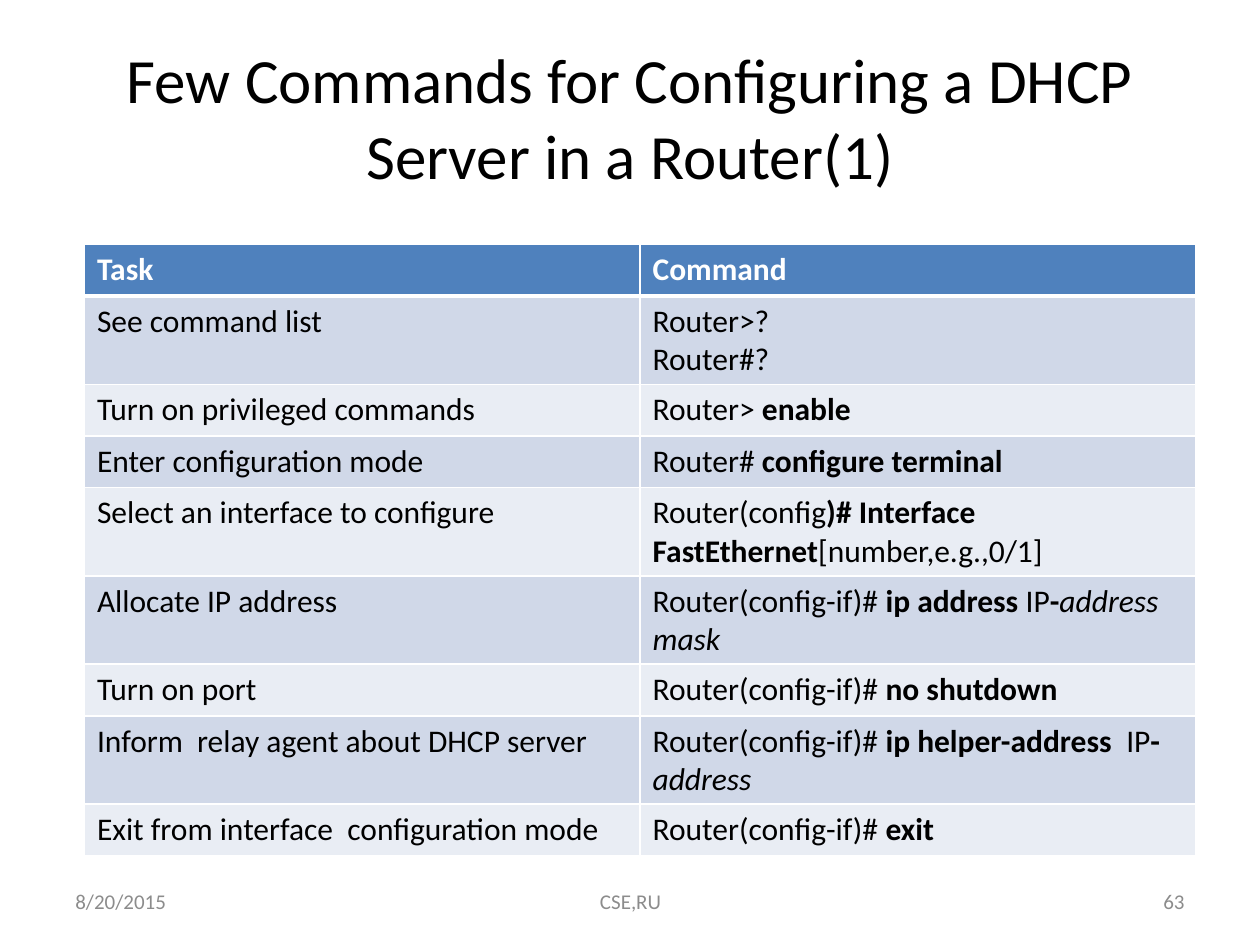
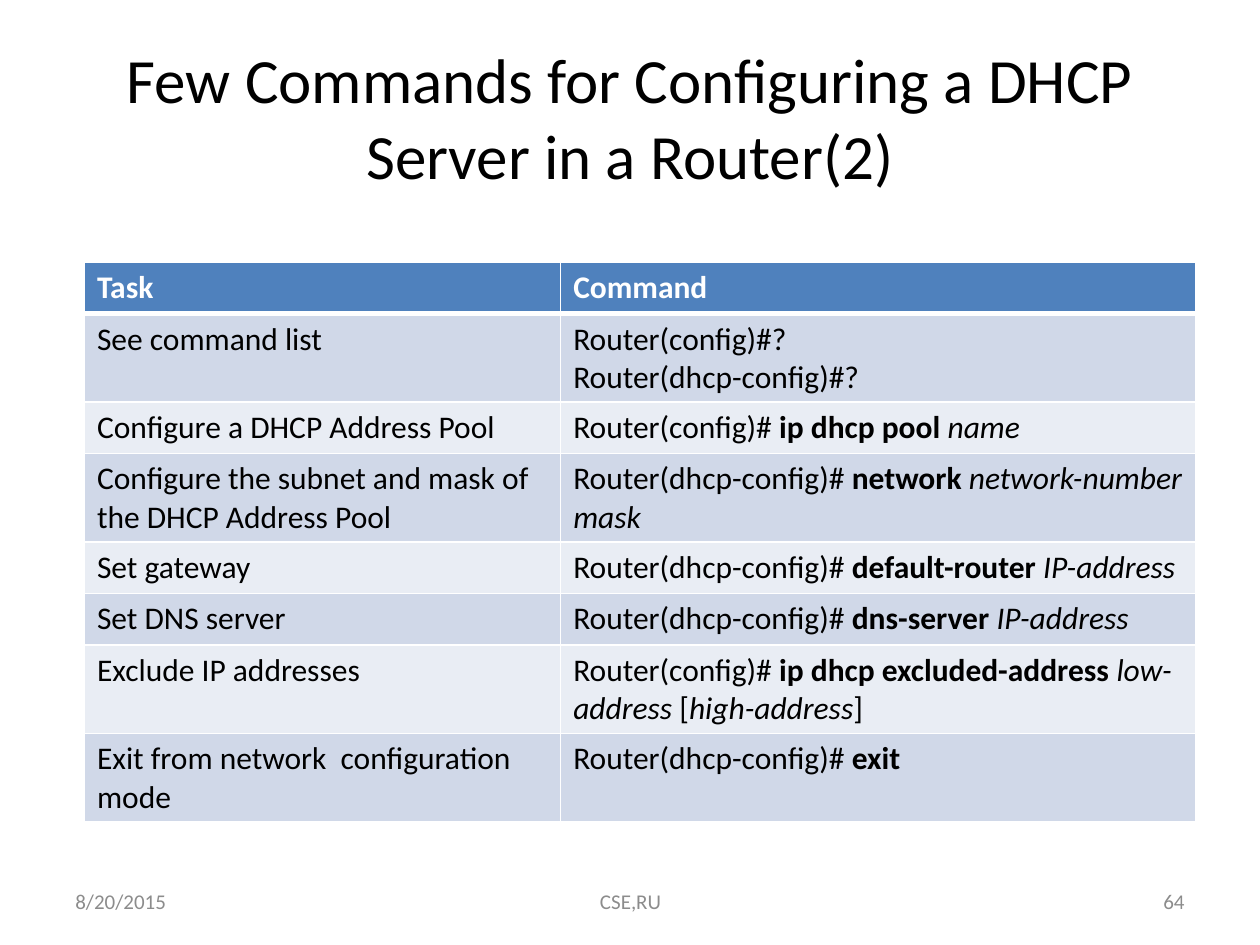
from dataclasses import dataclass

from lxml.etree import SubElement
from pptx import Presentation
from pptx.dml.color import RGBColor as Rgb
from pptx.enum.text import MSO_ANCHOR as Anchor, PP_ALIGN as Align
from pptx.oxml.ns import qn
from pptx.util import Inches, Pt


@dataclass(frozen=True)
class Theme:
    font: str = "Calibri"
    ink: str = "000000"
    muted: str = "8C8C8C"
    white: str = "FFFFFF"
    header: str = "4F81BD"
    bands: tuple = ("D0D8E8", "E9EDF4")
    title_size: int = 36
    table_size: int = 18
    footer_size: int = 12
    thin: int = 1
    thick: int = 3


THEME = Theme()
TITLE = "Few Commands for Configuring a DHCP Server in a Router({})"
HEADINGS = ("Task", "Command")
DATE, OWNER = "8/20/2015", "CSE,RU"
FIRST_PAGE_NUMBER = 63
TABLE_LEFT, ROW_HEIGHT = 0.67, 0.41

# Prompts that open the commands
CONFIG = "Router(config)# "
INTERFACE = "Router(config-if)# "
DHCP = "Router(dhcp-config)# "


def bold(text):
    return text, "bold"


def italic(text):
    return text, "italic"


# Each row: task, then one list of spans per command line
INTERFACE_ROWS = [
    ("See command list", ["Router>?"], ["Router#?"]),
    ("Turn on privileged commands", ["Router> ", bold("enable")]),
    ("Enter configuration mode", ["Router# ", bold("configure terminal")]),
    ("Select an interface to configure",
     ["Router(config", bold(")# Interface FastEthernet"), "[number,e.g.,0/1]"]),
    ("Allocate IP address",
     [INTERFACE, bold("ip address "), "IP", bold("-"), italic("address  mask")]),
    ("Turn on port", [INTERFACE, bold("no shutdown")]),
    ("Inform  relay agent about DHCP server",
     [INTERFACE, bold("ip helper-address  "), "IP", bold("-"), italic("address")]),
    ("Exit from interface  configuration mode", [INTERFACE, bold("exit")]),
]
POOL_ROWS = [
    ("See command list", ["Router(config)#?"], ["Router(dhcp-config)#?"]),
    ("Configure a DHCP Address Pool",
     [CONFIG, bold("ip dhcp pool "), italic("name")]),
    ("Configure the subnet and mask of the DHCP Address Pool",
     [DHCP, bold("network "), italic("network-number mask")]),
    ("Set gateway", [DHCP, bold("default-router "), italic("IP-address")]),
    ("Set DNS server", [DHCP, bold("dns-server "), italic("IP-address")]),
    ("Exclude IP addresses",
     [CONFIG, bold("ip dhcp excluded-address "), italic("low-address "),
      "[", italic("high-address"), "]"]),
    ("Exit from network  configuration mode", [DHCP, bold("exit")]),
]

# Table top, column widths and rows of each slide
TABLES = [
    (1.94, (4.41, 4.41), INTERFACE_ROWS),
    (2.08, (3.78, 5.04), POOL_ROWS),
]


def style_font(font, size, color):
    font.name = THEME.font
    font.size = Pt(size)
    font.color.rgb = Rgb.from_string(color)


def add_text(page, text, at, size, color, align):
    box = page.shapes.add_textbox(*map(Inches, at))
    frame = box.text_frame
    frame.word_wrap = True
    frame.vertical_anchor = Anchor.MIDDLE
    frame.text = text
    para = frame.paragraphs[0]
    para.alignment = align
    style_font(para.runs[0].font, size, color)


def add_footer(page, number):
    parts = [
        (DATE, 0.5, 2.33, Align.LEFT),
        (OWNER, 3.42, 3.17, Align.CENTER),
        (str(number), 7.17, 2.33, Align.RIGHT),
    ]
    for text, left, width, align in parts:
        add_text(page, text, (left, 6.95, width, 0.4),
                 THEME.footer_size, THEME.muted, align)


def set_borders(cell, top, bottom):
    properties = cell._tc.get_or_add_tcPr()
    widths = {"a:lnL": THEME.thin, "a:lnR": THEME.thin,
              "a:lnT": top, "a:lnB": bottom}
    for tag, width in widths.items():
        line = SubElement(properties, qn(tag), w=str(Pt(width)))
        fill = SubElement(line, qn("a:solidFill"))
        SubElement(fill, qn("a:srgbClr"), val=THEME.white)


def fill_cell(cell, lines, row):
    is_header = row == 0
    # Borders come before the fill in the cell properties
    set_borders(cell, THEME.thick if row == 1 else THEME.thin,
                THEME.thick if is_header else THEME.thin)
    cell.fill.solid()
    fill = THEME.header if is_header else THEME.bands[(row - 1) % 2]
    cell.fill.fore_color.rgb = Rgb.from_string(fill)
    frame = cell.text_frame
    for index, spans in enumerate(lines):
        para = frame.add_paragraph() if index else frame.paragraphs[0]
        for item in spans:
            text, style = (item, "") if isinstance(item, str) else item
            span = para.add_run()
            span.text = text
            style_font(span.font, THEME.table_size,
                       THEME.white if is_header else THEME.ink)
            span.font.bold = is_header or style == "bold"
            span.font.italic = style == "italic"


def add_command_table(page, top, widths, rows):
    entries = [(HEADINGS[0], [HEADINGS[1]]), *rows]
    table = page.shapes.add_table(
        len(entries), len(widths), Inches(TABLE_LEFT), Inches(top),
        Inches(sum(widths)), Inches(ROW_HEIGHT * len(entries))).table
    for column, width in zip(table.columns, widths):
        column.width = Inches(width)
    for row, (task, *commands) in enumerate(entries):
        table.rows[row].height = Inches(ROW_HEIGHT)
        fill_cell(table.cell(row, 0), [[task]], row)
        fill_cell(table.cell(row, 1), commands, row)


def main():
    deck = Presentation()
    deck.slide_width, deck.slide_height = Inches(10), Inches(7.5)
    for index, (top, widths, rows) in enumerate(TABLES):
        page = deck.slides.add_slide(deck.slide_layouts[6])
        add_text(page, TITLE.format(index + 1), (0.5, 0.3, 9, 1.25),
                 THEME.title_size, THEME.ink, Align.CENTER)
        add_footer(page, FIRST_PAGE_NUMBER + index)
        add_command_table(page, top, widths, rows)
    deck.save("out.pptx")


if __name__ == "__main__":
    main()
